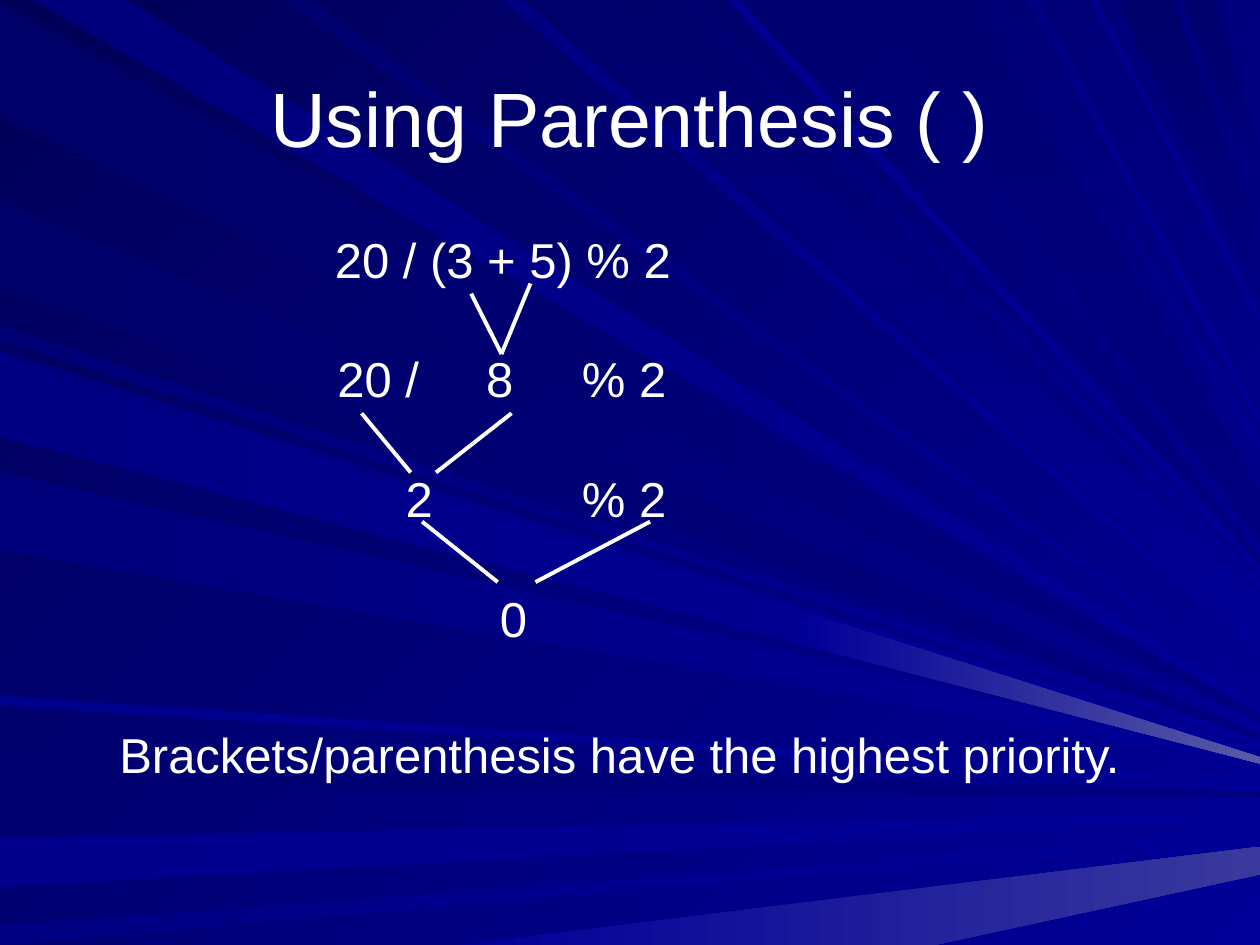
from pptx import Presentation
from pptx.dml.color import RGBColor
from pptx.enum.shapes import MSO_CONNECTOR
from pptx.enum.text import MSO_ANCHOR, PP_ALIGN
from pptx.oxml.ns import qn
from pptx.util import Inches, Pt
from lxml import etree

STRAIGHT = MSO_CONNECTOR.STRAIGHT
CENTER, LEFT, MIDDLE, TOP = PP_ALIGN.CENTER, PP_ALIGN.LEFT, MSO_ANCHOR.MIDDLE, MSO_ANCHOR.TOP
WHITE = RGBColor(0xFF, 0xFF, 0xFF)
FONT = "Arial"
SLIDE_W, SLIDE_H = 10, 7.5

# Content
TITLE = "Using Parenthesis ( )"
NOTE = "Brackets/parenthesis have the highest priority."

# Evaluation steps: text, left, width, tab stops from the text edge
STEPS = [
    ("20 / (3 + 5) % 2", 2.56, 2.87, []),
    ("20 /\t8\t% 2", 2.58, 2.81, [1.18, 1.94]),
    ("\t2\t% 2", 2.58, 2.81, [0.54, 1.94]),
    ("\t0", 2.15, 2.14, [1.72]),
]
STEP_TOP, STEP_PITCH, TEXT_H = 1.77, 0.95, 0.57

# Each pair of lines leads from two operands to their result
BRANCHES = [
    [(3.74, 2.33, 3.98, 2.81), (4.21, 2.25, 3.98, 2.81)],
    [(2.87, 3.28, 3.26, 3.75), (4.06, 3.28, 3.46, 3.75)],
    [(3.35, 4.14, 3.95, 4.62), (5.16, 4.14, 4.25, 4.62)],
]

# Rays run from a root on the left or top edge to a tip on the right edge:
# root start, root end, tip height, colours
LEFT_RAYS = [
    (0.02, 0.93, 5.7, "000069", "000080"),
    (5.96, 6.23, 6.31, "000071", "000080"),
    (6.65, 7.04, 6.47, "00008C", "000099"),
    (7.35, 7.5, 6.62, "000085", "000099"),
    (2.58, 2.7, 5.89, "000076", "000099"),
    (1.59, 2.28, 5.85, "00006B", "000080"),
    (2.78, 3.42, 5.99, "00007E", "000099"),
    (3.74, 4.37, 6.05, "00007B", "000099"),
    (5.52, 5.6, 6.22, "00008E", "000099"),
    (2.83, 3.47, 6.03, "000085", "000099"),
]
TOP_RAYS = [
    (0.26, 1.01, 5.63, "00007B", "000099"),
    (3.98, 4.16, 5.18, "000083", "000099"),
    (5.4, 5.52, 4.63, "000073", "000099"),
    (6.06, 6.61, 4.46, "000073", "000080"),
    (2.25, 2.47, 5.5, "000070", "000099"),
    (5.77, 5.88, 4.53, "00008E", "000099"),
    (7.85, 7.92, 3.57, "000078", "000099"),
    (8.15, 8.24, 3.35, "000085", "000099"),
    (8.65, 8.72, 2.53, "00008A", "000099"),
]
BROAD_RAYS = [
    (4.26, 4.92, 4.93, "00006D", "000099"),
    (6.86, 7.7, 4.1, "000073", "000080"),
    (8.87, 9.3, 2.1, "00006B", "000080"),
    (9.39, 9.64, 1.4, "00006D", "000080"),
]
# Rays, edge of their roots, gradient angle, width of their tips
FANS = [(LEFT_RAYS, "left", 0, 0.04), (TOP_RAYS, "top", 45, 0.04), (BROAD_RAYS, "top", 90, 0.4)]
GLINTS = [
    ("5A5AA6", [(6.37, 4.85), (6.33, 5.11), (SLIDE_W, 6.06), (SLIDE_W, 6.01)]),
    ("39399E", [(3.64, SLIDE_H), (7.42, SLIDE_H), (SLIDE_W, 6.94), (SLIDE_W, 6.72)]),
]


def paint(fill, start, end, angle):
    """Gradient at a clockwise angle."""
    fill.gradient()
    fill.gradient_angle = -angle % 360
    for stop, color in zip(fill.gradient_stops, (start, end)):
        stop.color.rgb = RGBColor.from_string(color)


def add_ray(shapes, corners, start, end, angle):
    points = [(Inches(x), Inches(y)) for x, y in corners]
    builder = shapes.build_freeform(*points[0])
    builder.add_line_segments(points[1:], close=True)
    sp = builder.convert_to_shape()
    sp.shadow.inherit = False
    paint(sp.fill, start, end, angle)
    sp.line.fill.background()


def add_branch(shapes, ends):
    line = shapes.add_connector(STRAIGHT, *map(Inches, ends))
    line.line.color.rgb = WHITE
    line.line.width = Pt(2.25)
    etree.SubElement(line._element.spPr, qn("a:effectLst"))


def write(sp, text, size, align, anchor, wrap=True, tabs=()):
    tf = sp.text_frame
    tf.word_wrap = wrap
    tf.vertical_anchor = anchor
    p = tf.paragraphs[0]
    p.alignment = align
    if tabs:
        tab_list = etree.SubElement(p._p.get_or_add_pPr(), qn("a:tabLst"))
        for pos in tabs:
            etree.SubElement(tab_list, qn("a:tab"), pos=str(Inches(pos)), algn="l")
    r = p.add_run()
    r.text = text
    for name, value in {"name": FONT, "size": Pt(size)}.items():
        setattr(r.font, name, value)
    r.font.color.rgb = WHITE


def main():
    prs = Presentation()
    prs.slide_width, prs.slide_height = Inches(SLIDE_W), Inches(SLIDE_H)
    s = prs.slides.add_slide(prs.slide_layouts[5])

    # Backdrop, with the rays behind the title
    paint(s.background.fill, "000058", "000099", 45)
    rays = s.shapes.add_group_shape()
    for fan, edge, angle, spread in FANS:
        for a, b, tip, start, end in fan:
            if edge == "left":
                roots = [(0, b), (0, a)]
            else:
                roots = [(a, 0), (b, 0)]
            tips = [(SLIDE_W, tip - spread / 2), (SLIDE_W, tip + spread / 2)]
            add_ray(rays.shapes, roots + tips, start, end, angle)
    for color, corners in GLINTS:
        add_ray(rays.shapes, corners, "000099", color, 0)
    title = s.shapes.title
    title._element.addprevious(rays._element)

    # Title
    title.left, title.top, title.width, title.height = map(Inches, (0.5, 0.3, 9, 1.25))
    write(title, TITLE, 44, CENTER, MIDDLE)

    # Evaluation steps
    for i, (text, left, width, tabs) in enumerate(STEPS):
        box = s.shapes.add_textbox(*map(Inches, (left, STEP_TOP + i * STEP_PITCH, width, TEXT_H)))
        write(box, text, 28, LEFT, TOP, wrap=bool(tabs), tabs=tabs)

    # Branch lines
    for pair in BRANCHES:
        group = s.shapes.add_group_shape()
        for ends in pair:
            add_branch(group.shapes, ends)

    # Closing note
    note = s.shapes.add_textbox(*map(Inches, (0.82, 5.7, 8.19, TEXT_H)))
    write(note, NOTE, 28, CENTER, TOP, wrap=False)

    prs.save("out.pptx")


if __name__ == "__main__":
    main()
